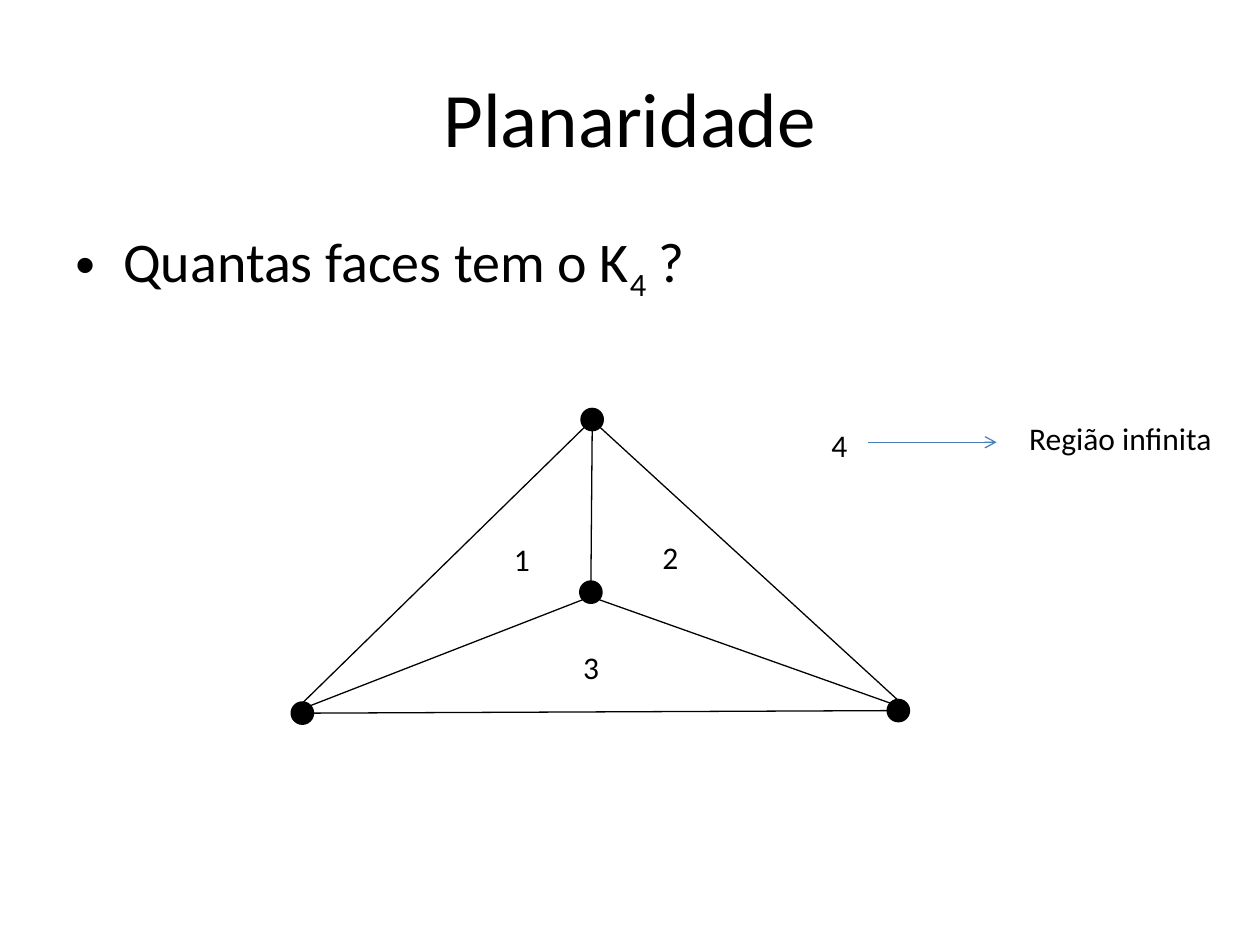
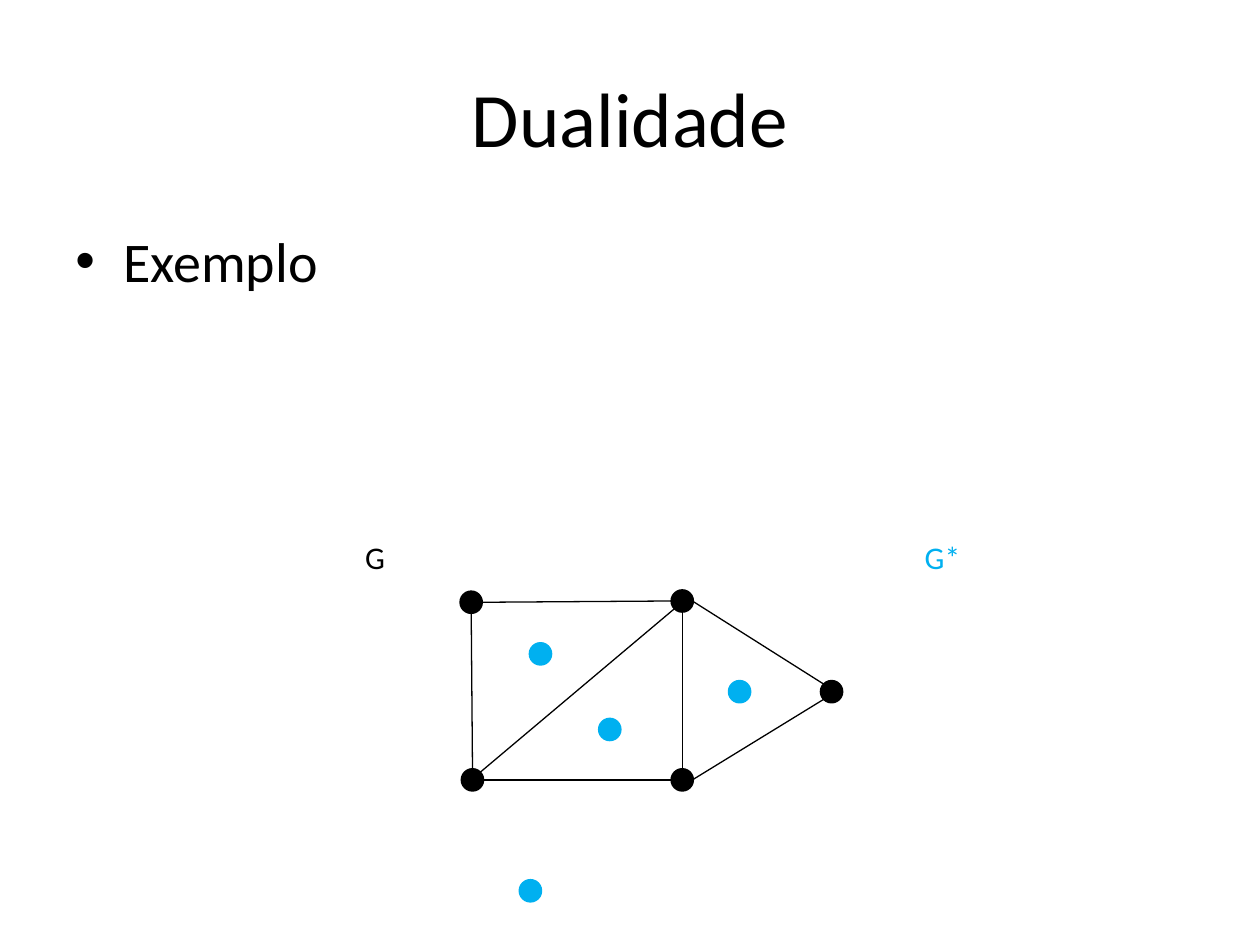
from dataclasses import dataclass
from enum import Enum
from math import sqrt

import lxml.etree
import pptx
import pptx.dml.color
import pptx.enum.shapes
import pptx.enum.text
import pptx.oxml.ns
import pptx.presentation
import pptx.shapes.connector
import pptx.slide
import pptx.text.text
import pptx.util


@dataclass(frozen=True)
class Theme:
    font: str = "Calibri"
    ink: str = "000000"
    dual: str = "00B0F0"
    arrow: str = "4B7EBC"
    title_size: int = 44
    body_size: int = 32
    label_size: int = 18
    edge_width: float = 0.75
    vertex_outline: float = 2


THEME = Theme()
SLIDE_WIDTH = pptx.util.Inches(10)
SLIDE_HEIGHT = pptx.util.Inches(7.5)
COLUMNS, ROWS = 100, 75
VERTEX_RADIUS = 0.8  # in grid cells
DIAGONAL = sqrt(0.5)


class Rim(Enum):
    """Points on a vertex outline, as directions from its centre."""
    TOP = (0, -1)
    BOTTOM = (0, 1)
    LEFT = (-1, 0)
    RIGHT = (1, 0)
    TOP_LEFT = (-DIAGONAL, -DIAGONAL)
    TOP_RIGHT = (DIAGONAL, -DIAGONAL)
    BOTTOM_LEFT = (-DIAGONAL, DIAGONAL)
    BOTTOM_RIGHT = (DIAGONAL, DIAGONAL)


@dataclass(frozen=True)
class Box:
    column: float
    row: float
    width: float
    height: float


@dataclass(frozen=True)
class Vertex:
    column: float
    row: float
    color: str = THEME.ink

    def rim(self, side: Rim) -> tuple[float, float]:
        across, down = side.value
        return self.column + VERTEX_RADIUS * across, self.row + VERTEX_RADIUS * down


@dataclass(frozen=True)
class Edge:
    start: Vertex
    start_side: Rim
    end: Vertex
    end_side: Rim


@dataclass(frozen=True)
class Label:
    text: str
    column: float
    row: float
    width: float = 3.3
    color: str = THEME.ink


TITLE_BOX = Box(5, 3, 90, 12.5)
BODY_BOX = Box(5, 17.5, 90, 22.4)
LABEL_HEIGHT = 4


def across(columns: float) -> int:
    return round(SLIDE_WIDTH * columns / COLUMNS)


def down(rows: float) -> int:
    return round(SLIDE_HEIGHT * rows / ROWS)


def rgb(color: str) -> pptx.dml.color.RGBColor:
    return pptx.dml.color.RGBColor.from_string(color)


def add_bullet(paragraph: pptx.text.text._Paragraph) -> None:
    properties = paragraph._p.get_or_add_pPr()
    indent = pptx.util.Inches(0.38)
    properties.set("marL", str(indent))
    properties.set("indent", str(-indent))
    bullet_font = lxml.etree.SubElement(properties, pptx.oxml.ns.qn("a:buFont"))
    bullet_font.set("typeface", "Arial")
    bullet = lxml.etree.SubElement(properties, pptx.oxml.ns.qn("a:buChar"))
    bullet.set("char", "•")


def add_text(
    slide: pptx.slide.Slide,
    box: Box,
    *parts: str,
    size: int,
    color: str = THEME.ink,
    centered: bool = False,
    bullet: bool = False,
    wrap: bool = True,
) -> None:
    """Write one paragraph; every second part is a subscript."""
    shape = slide.shapes.add_textbox(
        across(box.column), down(box.row), across(box.width), down(box.height)
    )
    frame = shape.text_frame
    frame.word_wrap = wrap
    if not wrap:
        frame.auto_size = pptx.enum.text.MSO_AUTO_SIZE.SHAPE_TO_FIT_TEXT
    paragraph = frame.paragraphs[0]
    if bullet:
        add_bullet(paragraph)
    if centered:
        frame.vertical_anchor = pptx.enum.text.MSO_ANCHOR.MIDDLE
        paragraph.alignment = pptx.enum.text.PP_ALIGN.CENTER
    for index, part in enumerate(parts):
        run = paragraph.add_run()
        run.text = part
        run.font.name = THEME.font
        run.font.size = pptx.util.Pt(size)
        run.font.color.rgb = rgb(color)
        if index % 2:
            run.font._element.set("baseline", "-25000")


def add_line(
    slide: pptx.slide.Slide,
    start: tuple[float, float],
    end: tuple[float, float],
    color: str = THEME.ink,
) -> pptx.shapes.connector.Connector:
    connector = slide.shapes.add_connector(
        pptx.enum.shapes.MSO_CONNECTOR.STRAIGHT,
        across(start[0]), down(start[1]), across(end[0]), down(end[1]),
    )
    connector.line.color.rgb = rgb(color)
    connector.line.width = pptx.util.Pt(THEME.edge_width)
    lxml.etree.SubElement(connector._element.spPr, pptx.oxml.ns.qn("a:effectLst"))
    return connector


def add_arrow(
    slide: pptx.slide.Slide, start: tuple[float, float], end: tuple[float, float]
) -> None:
    connector = add_line(slide, start, end, THEME.arrow)
    line = connector.line._get_or_add_ln()
    lxml.etree.SubElement(line, pptx.oxml.ns.qn("a:tailEnd")).set("type", "arrow")


def add_vertex(slide: pptx.slide.Slide, vertex: Vertex) -> None:
    shape = slide.shapes.add_shape(
        pptx.enum.shapes.MSO_SHAPE.OVAL,
        across(vertex.column - VERTEX_RADIUS), down(vertex.row - VERTEX_RADIUS),
        across(2 * VERTEX_RADIUS), down(2 * VERTEX_RADIUS),
    )
    shape.shadow.inherit = False
    shape.fill.solid()
    shape.fill.fore_color.rgb = rgb(vertex.color)
    shape.line.color.rgb = rgb(vertex.color)
    shape.line.width = pptx.util.Pt(THEME.vertex_outline)


def add_graph(
    slide: pptx.slide.Slide,
    vertices: list[Vertex],
    edges: list[Edge],
    labels: list[Label],
) -> None:
    for vertex in vertices:
        add_vertex(slide, vertex)
    for edge in edges:
        add_line(slide, edge.start.rim(edge.start_side), edge.end.rim(edge.end_side))
    for label in labels:
        box = Box(label.column, label.row, label.width, LABEL_HEIGHT)
        add_text(slide, box, label.text, size=THEME.label_size,
                 color=label.color, wrap=False)


def add_topic_slide(
    presentation: pptx.presentation.Presentation, title: str, *bullet_parts: str
) -> pptx.slide.Slide:
    slide = presentation.slides.add_slide(presentation.slide_layouts[6])
    add_text(slide, TITLE_BOX, title, size=THEME.title_size, centered=True)
    add_text(slide, BODY_BOX, *bullet_parts, size=THEME.body_size, bullet=True)
    return slide


def add_planarity_slide(presentation: pptx.presentation.Presentation) -> None:
    slide = add_topic_slide(presentation, "Planaridade", "Quantas faces tem o K", "4", " ?")
    center = Vertex(46.9, 47)
    apex = Vertex(47, 33.3)
    left = Vertex(24, 56.6)
    right = Vertex(71.3, 56.4)
    edges = [
        Edge(center, Rim.TOP, apex, Rim.BOTTOM),
        Edge(apex, Rim.BOTTOM_RIGHT, right, Rim.TOP),
        Edge(right, Rim.LEFT, left, Rim.RIGHT),
        Edge(center, Rim.BOTTOM_LEFT, left, Rim.TOP_RIGHT),
        Edge(apex, Rim.BOTTOM_LEFT, left, Rim.TOP),
        Edge(right, Rim.TOP_LEFT, center, Rim.BOTTOM_RIGHT),
    ]
    labels = [
        Label("1", 39.8, 42.4),
        Label("2", 51.6, 42.2),
        Label("3", 45.3, 50.9),
        Label("4", 65, 33.3),
        Label("Região infinita", 80.7, 32.8, width=16.7),
    ]
    add_graph(slide, [center, apex, left, right], edges, labels)
    add_arrow(slide, (68.9, 35.1), (79.1, 35.1))


def add_duality_slide(presentation: pptx.presentation.Presentation) -> None:
    slide = add_topic_slide(presentation, "Dualidade", "Exemplo")
    top_left = Vertex(37.4, 47.8)
    top_right = Vertex(54.15, 47.7)
    bottom_left = Vertex(37.5, 61.9)
    bottom_right = Vertex(54.15, 61.9)
    tip = Vertex(66, 54.9)
    dual_centers = [(42.9, 51.9), (48.4, 57.9), (58.7, 54.9), (42.1, 70.7)]
    dual_vertices = [Vertex(column, row, THEME.dual) for column, row in dual_centers]
    edges = [
        Edge(top_left, Rim.RIGHT, top_right, Rim.LEFT),
        Edge(top_right, Rim.BOTTOM, bottom_right, Rim.TOP),
        Edge(bottom_right, Rim.LEFT, bottom_left, Rim.RIGHT),
        Edge(top_left, Rim.BOTTOM, bottom_left, Rim.TOP),
        Edge(top_right, Rim.BOTTOM_LEFT, bottom_left, Rim.TOP_RIGHT),
        Edge(top_right, Rim.RIGHT, tip, Rim.TOP_LEFT),
        Edge(bottom_right, Rim.RIGHT, tip, Rim.BOTTOM_LEFT),
    ]
    labels = [
        Label("G", 28, 42.2, width=3.6),
        Label("G*", 72.4, 42.2, width=4.9, color=THEME.dual),
    ]
    vertices = [top_left, top_right, bottom_left, bottom_right, tip, *dual_vertices]
    add_graph(slide, vertices, edges, labels)


def main() -> None:
    presentation = pptx.Presentation()
    presentation.slide_width = SLIDE_WIDTH
    presentation.slide_height = SLIDE_HEIGHT
    add_planarity_slide(presentation)
    add_duality_slide(presentation)
    presentation.save("out.pptx")


if __name__ == "__main__":
    main()
